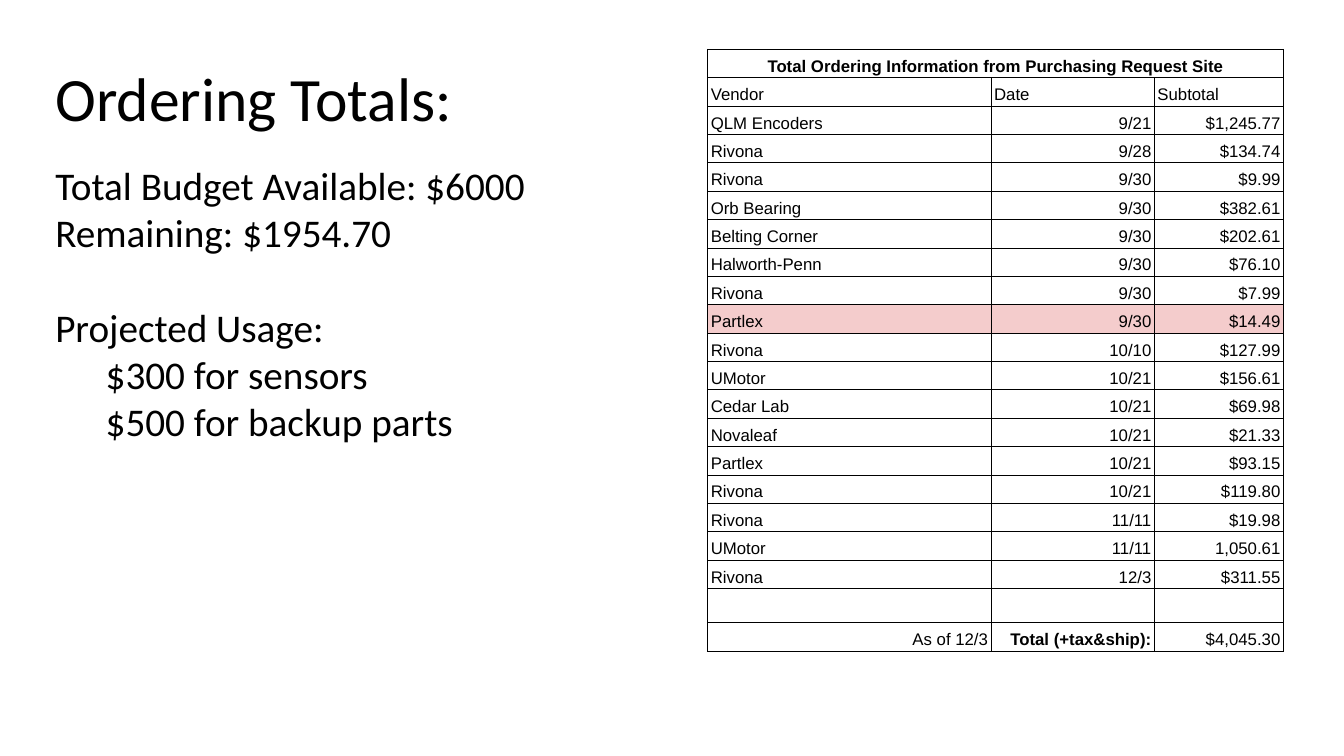
from lxml.etree import SubElement
from pptx import Presentation
from pptx.dml.color import RGBColor
from pptx.enum.text import MSO_ANCHOR, PP_ALIGN
from pptx.oxml.ns import qn
from pptx.util import Inches, Pt


def color(value):
    return RGBColor.from_string(value)


def write(para, text, font, size, bold=False):
    span = para.add_run()
    span.text = text
    for name, value in {"name": font, "size": Pt(size), "bold": bold}.items():
        setattr(span.font, name, value)
    span.font.color.rgb = color("000000")


deck = Presentation()
deck.slide_width, deck.slide_height = Inches(13.33), Inches(7.5)
page = deck.slides.add_slide(deck.slide_layouts[6])

title = page.shapes.add_textbox(Inches(0.45), Inches(0.59), Inches(12.42), Inches(0.83)).text_frame
title.word_wrap = True
title.vertical_anchor = MSO_ANCHOR.MIDDLE
title.paragraphs[0].line_spacing = 0.9
write(title.paragraphs[0], "Ordering Totals:", "Calibri", 44)

budget = page.shapes.add_textbox(Inches(0.45), Inches(1.5), Inches(4.91), Inches(5.16)).text_frame
budget.word_wrap = True
budget.margin_top = budget.margin_bottom = Inches(0.1)
budget_lines = [
    ("Total Budget Available: $6000", 0, 0),
    ("Remaining: $1954.70", 0, 0),
    ("Projected Usage:", 0, 34),
    ("$300 for sensors", 0.5, 0),
    ("$500 for backup parts", 0.5, 0),
]
for index, (text, indent, gap) in enumerate(budget_lines):
    para = budget.add_paragraph() if index else budget.paragraphs[0]
    if indent:
        para._p.get_or_add_pPr().set("indent", str(Inches(indent)))
    if gap:
        para.space_before = Pt(gap)
    write(para, text, "Calibri", 28)

orders = [
    ("Total Ordering Information from Purchasing Request Site", "", ""),
    ("Vendor", "Date", "Subtotal"),
    ("QLM Encoders", "9/21", "$1,245.77"),
    ("Rivona", "9/28", "$134.74"),
    ("Rivona", "9/30", "$9.99"),
    ("Orb Bearing", "9/30", "$382.61"),
    ("Belting Corner", "9/30", "$202.61"),
    ("Halworth-Penn", "9/30", "$76.10"),
    ("Rivona", "9/30", "$7.99"),
    ("Partlex", "9/30", "$14.49"),
    ("Rivona", "10/10", "$127.99"),
    ("UMotor", "10/21", "$156.61"),
    ("Cedar Lab", "10/21", "$69.98"),
    ("Novaleaf", "10/21", "$21.33"),
    ("Partlex", "10/21", "$93.15"),
    ("Rivona", "10/21", "$119.80"),
    ("Rivona", "11/11", "$19.98"),
    ("UMotor", "11/11", "1,050.61"),
    ("Rivona", "12/3", "$311.55"),
    ("", "", ""),
    ("As of 12/3", "Total (+tax&ship):", "$4,045.30"),
]
highlighted_row = 9
last_row = len(orders) - 1
widths = [2.81, 1.62, 1.28]
table = page.shapes.add_table(
    len(orders), len(widths), Inches(7.02), Inches(0.49), Inches(sum(widths)), Inches(5.97)
).table
table.first_row = table.horz_banding = False
for column, width in zip(table.columns, widths):
    column.width = Inches(width)

cell_format = {
    "margin_left": Inches(0.03),
    "margin_right": Inches(0.03),
    "margin_top": Inches(0.02),
    "margin_bottom": Inches(0.02),
    "vertical_anchor": MSO_ANCHOR.BOTTOM,
}
for row, order in enumerate(orders):
    table.rows[row].height = Inches(5.63) // last_row if any(order) else Inches(0.34)
    for column, text in enumerate(order):
        cell = table.cell(row, column)
        for name, value in cell_format.items():
            setattr(cell, name, value)
        for side in ("a:lnL", "a:lnR", "a:lnT", "a:lnB"):
            border = SubElement(cell._tc.get_or_add_tcPr(), qn(side), w=str(Pt(0.75)))
            SubElement(SubElement(border, qn("a:solidFill")), qn("a:srgbClr"), val="000000")
        cell.fill.solid()
        cell.fill.fore_color.rgb = color("F4CCCC" if row == highlighted_row else "FFFFFF")
        if not text:
            continue
        para = cell.text_frame.paragraphs[0]
        para.line_spacing = 1.15
        if row == 0:
            para.alignment = PP_ALIGN.CENTER
        elif row == last_row or (row > 1 and column > 0):
            para.alignment = PP_ALIGN.RIGHT
        write(para, text, "Arial", 12, row == 0 or (row == last_row and column == 1))
table.cell(0, 0).merge(table.cell(0, len(widths) - 1))

deck.save("out.pptx")
